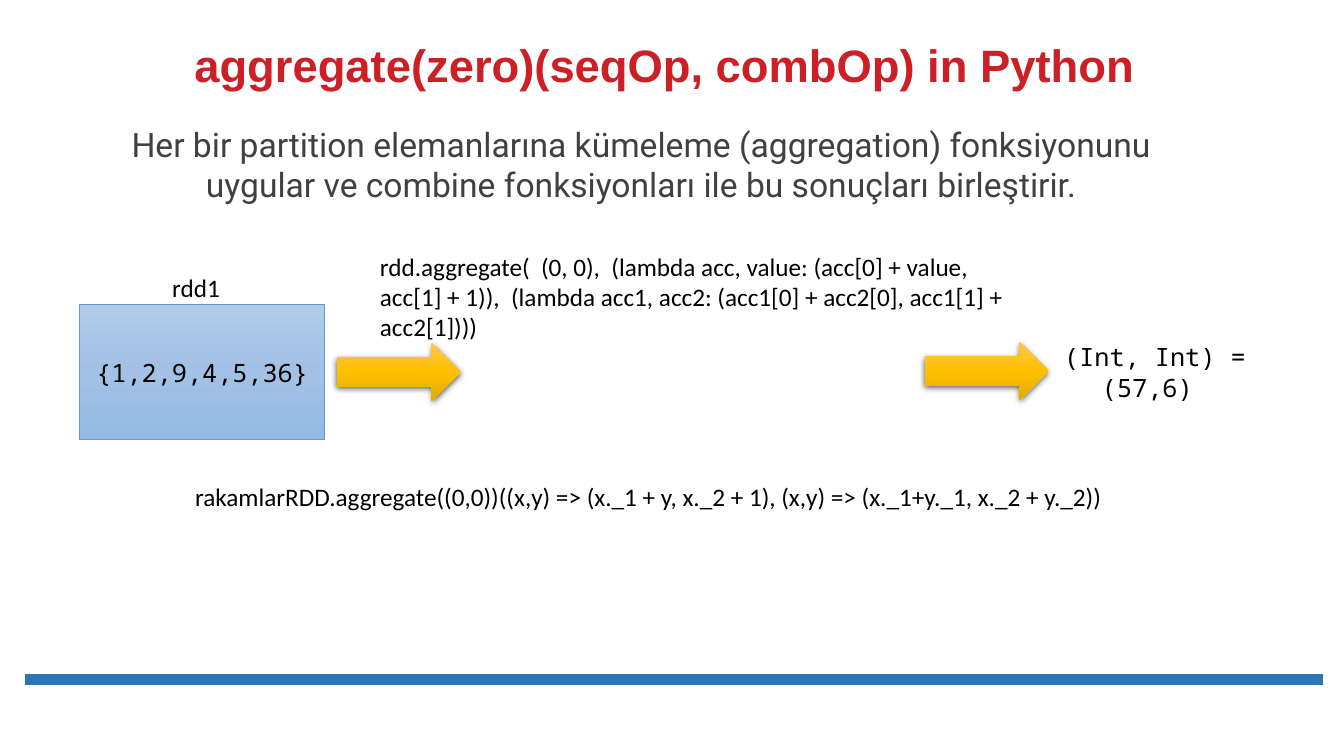
from lxml.etree import SubElement
from pptx import Presentation
from pptx.dml.color import RGBColor
from pptx.enum.shapes import MSO_CONNECTOR, MSO_SHAPE
from pptx.enum.text import MSO_ANCHOR, PP_ALIGN
from pptx.oxml import parse_xml
from pptx.oxml.ns import nsdecls, qn
from pptx.util import Inches, Pt

# Content: text, (left, top, width, height), font, size, colour
TITLE = ("aggregate(zero)(seqOp, combOp) in Python",
         (1.59, 0.23, 10, 0.74), "Arial", 32.4, "CD1F26")
SUMMARY = ("Her bir partition elemanlarına kümeleme (aggregation) fonksiyonunu "
           "uygular ve combine fonksiyonları ile bu sonuçları birleştirir.",
           (0.94, 1.18, 10.84, 0.91), "Roboto", 24, "404041")
RDD_LABEL = ("rdd1", (1.61, 2.65, 0.68, 0.4), "Calibri", 18, "000000")
RESULT = (" (Int, Int) = (57,6)",
          (10.15, 3.34, 2.46, 0.71), "Noto Sans Mono", 18, "000000")
SCALA_CALL = (" rakamlarRDD.aggregate((0,0))((x,y) => (x._1 + y, x._2 + 1), "
              "(x,y) => (x._1+y._1, x._2 + y._2))",
              (1.78, 4.73, 9.99, 0.4), "Calibri", 18, "000000")
PYTHON_CALL = ("rdd.aggregate(  (0, 0),  (lambda acc, value: (acc[0] + value, "
               "acc[1] + 1)),  (lambda acc1, acc2: (acc1[0] + acc2[0], "
               "acc1[1] + acc2[1])))",
               (3.67, 2.44, 6.67, 1.01), "Calibri", 18, "000000")
RDD_VALUES = ("{1,2,9,4,5,36}", (0.79, 3.02, 2.43, 1.34),
              "Noto Sans Mono", 18, "000000")
ARROWS = [(3.34, 3.4, 1.23, 0.58), (9.17, 3.39, 1.23, 0.58)]
GOLD = ["FFC64B", "FFC000", "E3AB00"]
BLUE = ["B1CBE9", "A3C1E5", "93B9E4"]
RULE_Y, RULE_LEFT, RULE_RIGHT = 6.74, 0.25, 13.12

presentation = Presentation()
presentation.slide_width, presentation.slide_height = Inches(13.33), Inches(7.5)
slide = presentation.slides.add_slide(presentation.slide_layouts[6])


def color(hex_code):
    return RGBColor.from_string(hex_code)


def write(shape, text, font, size, hex_code, align=PP_ALIGN.LEFT,
          anchor=MSO_ANCHOR.TOP, wrap=True):
    frame = shape.text_frame
    frame.word_wrap = wrap
    frame.vertical_anchor = anchor
    frame.text = text
    paragraph = frame.paragraphs[0]
    paragraph.alignment = align
    style = paragraph.runs[0].font
    style.name, style.size = font, Pt(size)
    style.color.rgb = color(hex_code)
    return paragraph


def add_text(label, **layout):
    text, box, *style = label
    return write(slide.shapes.add_textbox(*map(Inches, box)), text, *style, **layout)


def add_gradient_shape(kind, box, shades):
    shape = slide.shapes.add_shape(kind, *map(Inches, box))
    shape.shadow.inherit = False
    shape.line.fill.background()
    stops = "".join(f'<a:gs pos="{i * 50000}"><a:srgbClr val="{shade}"/></a:gs>'
                    for i, shade in enumerate(shades))
    gradient = parse_xml(f'<a:gradFill {nsdecls("a")} rotWithShape="1"><a:gsLst>{stops}'
                         '</a:gsLst><a:lin ang="5400000" scaled="0"/></a:gradFill>')
    shape._element.spPr.find(qn("a:prstGeom")).addnext(gradient)
    return shape


# Bottom rule
rule = slide.shapes.add_connector(
    MSO_CONNECTOR.STRAIGHT, Inches(RULE_LEFT), Inches(RULE_Y),
    Inches(RULE_RIGHT), Inches(RULE_Y))
rule.line.color.rgb = color("2E75B6")
rule.line.width = Pt(8)
SubElement(rule._element.spPr, qn("a:effectLst"))

# Heading
title = add_text(TITLE, align=PP_ALIGN.CENTER, anchor=MSO_ANCHOR.BOTTOM)
title.line_spacing = 0.9
title.runs[0].font.bold = True
add_text(SUMMARY, align=PP_ALIGN.CENTER)

# Arrows with a soft shadow below
for arrow_box in ARROWS:
    arrow = add_gradient_shape(MSO_SHAPE.RIGHT_ARROW, arrow_box, GOLD)
    arrow._element.spPr.find(qn("a:effectLst")).append(parse_xml(
        f'<a:outerShdw {nsdecls("a")} blurRad="{Pt(4.5)}" dist="{Pt(1.5)}" '
        'dir="5400000" algn="ctr" rotWithShape="0"><a:srgbClr val="000000">'
        '<a:alpha val="63000"/></a:srgbClr></a:outerShdw>'))

# Source data
values, values_box, *values_style = RDD_VALUES
rdd = add_gradient_shape(MSO_SHAPE.RECTANGLE, values_box, BLUE)
rdd.line.color.rgb = color("5B9BD5")
rdd.line.width = Pt(0.5)
write(rdd, values, *values_style, align=PP_ALIGN.CENTER, anchor=MSO_ANCHOR.MIDDLE)
add_text(RDD_LABEL, wrap=False)

# Result and calls
add_text(RESULT, align=PP_ALIGN.CENTER)
add_text(SCALA_CALL)
add_text(PYTHON_CALL)

presentation.save("out.pptx")
